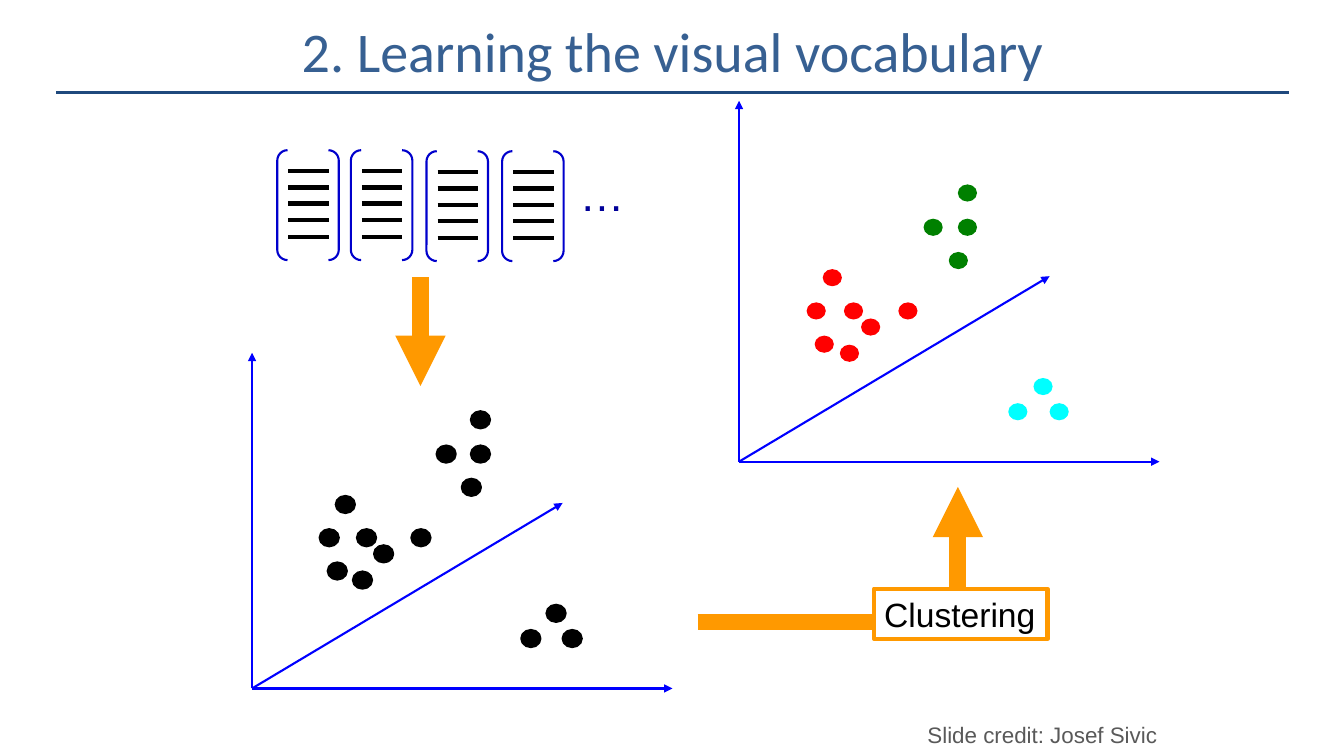
"""Build the slide on learning a visual vocabulary by clustering descriptors."""
import pptx
import pptx.dml.color
import pptx.enum.shapes
import pptx.enum.text
import pptx.oxml
import pptx.oxml.ns
import pptx.util

RGBColor = pptx.dml.color.RGBColor
MSO_SHAPE = pptx.enum.shapes.MSO_SHAPE
Pt = pptx.util.Pt
PX = 9144

BLACK = RGBColor(0x00, 0x00, 0x00)
WHITE = RGBColor(0xFF, 0xFF, 0xFF)
RED = RGBColor(0xFF, 0x00, 0x00)
GREEN = RGBColor(0x00, 0x80, 0x00)
CYAN = RGBColor(0x00, 0xFF, 0xFF)
AXIS_BLUE = RGBColor(0x00, 0x00, 0xFF)
BRACKET_BLUE = RGBColor(0x00, 0x00, 0xCC)
DOTS_BLUE = RGBColor(0x00, 0x00, 0x99)
TITLE_BLUE = RGBColor(0x37, 0x60, 0x92)
RULE_BLUE = RGBColor(0x1F, 0x49, 0x7D)
ORANGE = RGBColor(0xFF, 0x99, 0x00)
GRAY = RGBColor(0x59, 0x59, 0x59)


def add_line(shapes, x1, y1, x2, y2, color, width, arrow=False):
    line = shapes.add_connector(pptx.enum.shapes.MSO_CONNECTOR.STRAIGHT,
                                x1 * PX, y1 * PX, x2 * PX, y2 * PX)
    line.line.color.rgb = color
    line.line.width = Pt(width)
    if arrow:
        tail = pptx.oxml.parse_xml(
            f'<a:tailEnd {pptx.oxml.ns.nsdecls("a")} type="triangle"/>')
        line.line._get_or_add_ln().append(tail)
    line._element.spPr.append(
        pptx.oxml.parse_xml(f'<a:effectLst {pptx.oxml.ns.nsdecls("a")}/>'))


def set_text(sp, text, size, color, font="Arial"):
    tf = sp.text_frame
    tf.word_wrap = False
    tf.vertical_anchor = pptx.enum.text.MSO_ANCHOR.TOP
    p = tf.paragraphs[0]
    p.text = text
    p.alignment = pptx.enum.text.PP_ALIGN.LEFT
    p.font.name = font
    p.font.size = Pt(size)
    p.font.color.rgb = color
    return tf


prs = pptx.Presentation()
prs.slide_width = pptx.util.Inches(13.33)
prs.slide_height = pptx.util.Inches(7.5)
s = prs.slides.add_slide(prs.slide_layouts[5])

add_line(s.shapes, 56, 92, 1278, 92, RULE_BLUE, 2.25)
title = s.shapes.title
title.left, title.top, title.width, title.height = 67 * PX, 0, 1200 * PX, 100 * PX
tf = set_text(title, "2. Learning the visual vocabulary", 40, TITLE_BLUE, "Calibri")
tf.word_wrap = True
tf.vertical_anchor = pptx.enum.text.MSO_ANCHOR.MIDDLE
tf.paragraphs[0].alignment = pptx.enum.text.PP_ALIGN.CENTER

for left, top in [(275, 149), (348, 149), (423, 150), (498, 150)]:
    descriptor = s.shapes.add_group_shape()
    sp = descriptor.shapes.add_shape(MSO_SHAPE.DOUBLE_BRACKET,
                                     left * PX, top * PX, 61 * PX, 109 * PX)
    sp.shadow.inherit = False
    sp.adjustments[0] = 0.167
    sp.fill.background()
    sp.line.color.rgb = BRACKET_BLUE
    sp.line.width = Pt(1.5)
    for dy in [21, 37, 53, 69, 86]:
        add_line(descriptor.shapes, left + 11, top + dy, left + 51, top + dy, BLACK, 3)

ellipsis = s.shapes.add_textbox(565 * PX, 160 * PX, 65 * PX, 63 * PX)
set_text(ellipsis, "…", 32, DOTS_BLUE)

clusters = [
    (RED, [(104, -158), (121, -142), (67, -158), (100, -116),
           (75, -125), (158, -158), (83, -191)]),
    (GREEN, [(217, -275), (208, -208), (183, -241), (217, -241)]),
    (CYAN, [(308, -58), (292, -83), (267, -58)]),
]
for x, y, height, clustered in [(250, 683, 333, False), (733, 458, 358, True)]:
    for dx, dy in [(0, -height), (417, 0), (308, -184)]:
        add_line(s.shapes, x, y, x + dx, y + dy, AXIS_BLUE, 1.5, arrow=True)
    for color, points in clusters:
        for dx, dy in points:
            dot = s.shapes.add_shape(MSO_SHAPE.OVAL, (x + dx) * PX, (y + dy) * PX,
                                     19 * PX, 17 * PX)
            dot.shadow.inherit = False
            dot.fill.solid()
            if clustered:
                dot.fill.fore_color.rgb = color
                dot.line.fill.background()
            else:
                dot.fill.fore_color.rgb = BLACK
                dot.line.color.rgb = BLACK
                dot.line.width = Pt(1.5)

add_line(s.shapes, 417, 275, 417, 383, ORANGE, 12, arrow=True)
add_line(s.shapes, 692, 617, 917, 617, ORANGE, 12)
add_line(s.shapes, 950, 617, 950, 483, ORANGE, 12, arrow=True)

box = s.shapes.add_shape(MSO_SHAPE.RECTANGLE, 867 * PX, 584 * PX, 172 * PX, 50 * PX)
box.shadow.inherit = False
box.fill.solid()
box.fill.fore_color.rgb = WHITE
box.line.color.rgb = ORANGE
box.line.width = Pt(3)
set_text(box, "Clustering", 24, BLACK)

credit = s.shapes.add_textbox(910 * PX, 711 * PX, 248 * PX, 37 * PX)
set_text(credit, "Slide credit: Josef Sivic", 16, GRAY)

prs.save("out.pptx")
